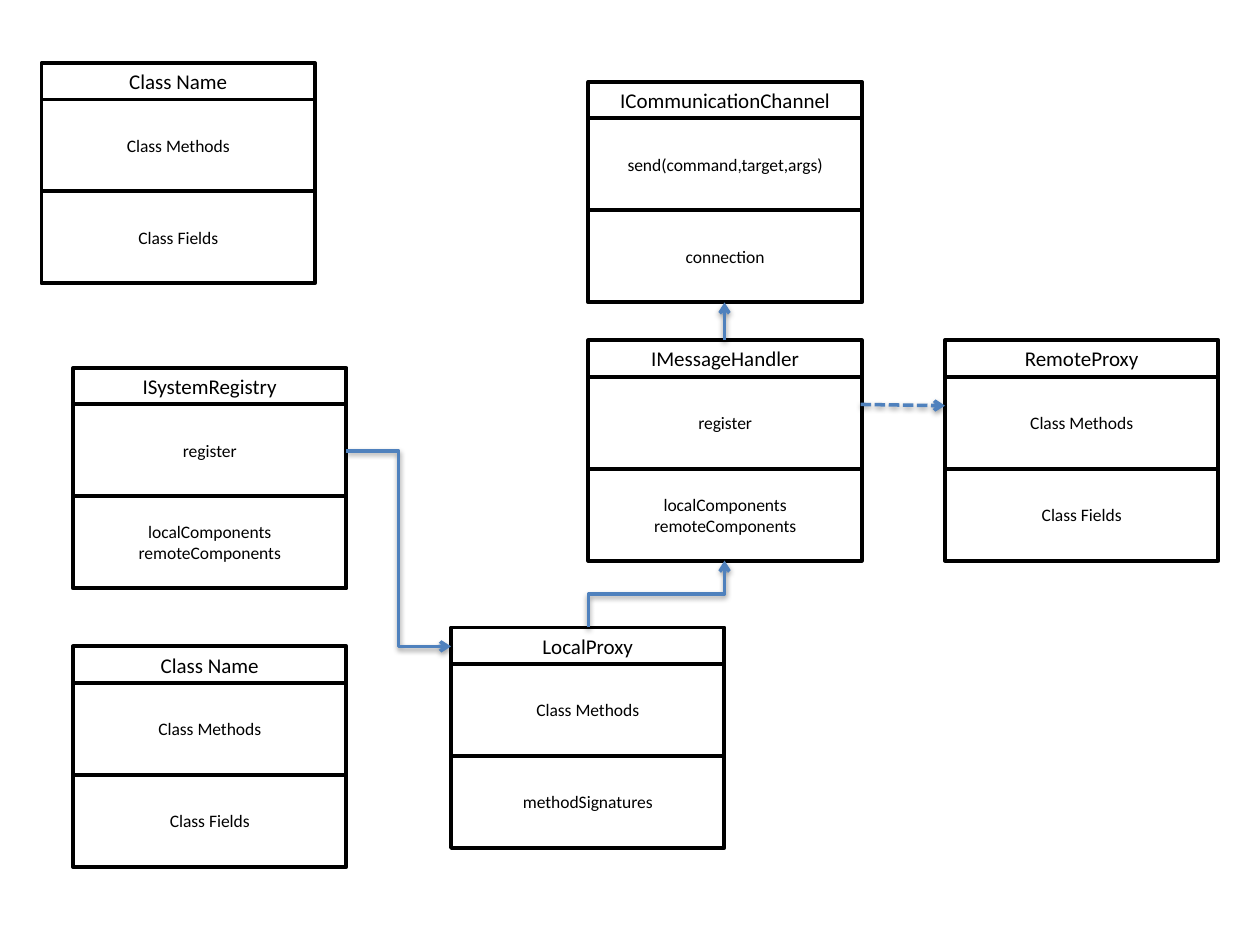
from pptx import Presentation
from pptx.dml.color import RGBColor
from pptx.enum.dml import MSO_LINE
from pptx.enum.shapes import MSO_CONNECTOR, MSO_SHAPE
from pptx.enum.text import MSO_ANCHOR, PP_ALIGN
from pptx.oxml.ns import qn
from pptx.util import Inches, Pt
from lxml.etree import SubElement


def rgb(value):
    return RGBColor.from_string(value)


class ClassDiagram:
    FONT, INK, ACCENT = "Calibri", "000000", "4F81BD"
    WIDTH, NAME_H, PART_H = 2.17, 0.29, 0.73

    def __init__(self, slide):
        self.s = slide

    def cell(self, shapes, x, y, h, text, size):
        sp = shapes.add_shape(MSO_SHAPE.RECTANGLE, Inches(x), Inches(y),
                              Inches(self.WIDTH), Inches(h))
        sp.shadow.inherit = False
        sp.fill.background()
        sp.line.color.rgb = rgb(self.INK)
        sp.line.width = Pt(2.25)
        tf = sp.text_frame
        tf.word_wrap = True
        tf.vertical_anchor = MSO_ANCHOR.MIDDLE
        tf.text = text
        for p in tf.paragraphs:
            p.alignment = PP_ALIGN.CENTER
            p.font.name = self.FONT
            p.font.size = Pt(size)
            p.font.color.rgb = rgb(self.INK)

    def class_box(self, x, y, name, methods, fields):
        shapes = self.s.shapes.add_group_shape().shapes
        self.cell(shapes, x, y, self.NAME_H, name, 12)
        y += self.NAME_H
        for text in (methods, fields):
            self.cell(shapes, x, y, self.PART_H, text, 10)
            y += self.PART_H

    def arrow(self, start, end, kind=MSO_CONNECTOR.STRAIGHT, dash=None):
        c = self.s.shapes.add_connector(kind, *map(Inches, start + end))
        c.line.color.rgb = rgb(self.ACCENT)
        c.line.width = Pt(2)
        if dash:
            c.line.dash_style = dash
        # The theme's soft shadow is kept on the arrows
        SubElement(c.line._get_or_add_ln(), qn("a:tailEnd"), type="arrow")
        return c

    def elbow(self, start, end):
        return self.arrow(start, end, MSO_CONNECTOR.ELBOW)

    def vertical_elbow(self, start, end):
        """Elbow that leaves and arrives vertically: a quarter-turned elbow."""
        cx, cy = (start[0] + end[0]) / 2, (start[1] + end[1]) / 2

        def unturn(point):
            return cx + point[1] - cy, cy - point[0] + cx

        c = self.elbow(unturn(start), unturn(end))
        c._element.spPr.find(qn("a:xfrm")).set("rot", "5400000")


def main():
    prs = Presentation()
    prs.slide_width, prs.slide_height = Inches(10), Inches(7.5)
    d = ClassDiagram(prs.slides.add_slide(prs.slide_layouts[6]))

    template = ("Class Name", "Class Methods", "Class Fields")
    components = "localComponents\nremoteComponents"

    # Classes
    d.class_box(0.33, 0.5, *template)
    d.class_box(4.67, 0.65, "ICommunicationChannel",
                "send(command,target,args)", "connection")
    d.class_box(0.58, 2.92, "ISystemRegistry", "register", components)
    d.class_box(7.5, 2.7, "RemoteProxy", *template[1:])
    d.class_box(3.58, 4.98, "LocalProxy", "Class Methods", "methodSignatures")
    d.class_box(4.67, 2.7, "IMessageHandler", "register", components)

    # Relations
    d.elbow((2.75, 3.58), (3.58, 5.13))
    d.vertical_elbow((4.67, 4.98), (5.75, 4.45))
    d.arrow((5.75, 2.7), (5.75, 2.4))
    d.arrow((6.83, 3.21), (7.5, 3.22), dash=MSO_LINE.SQUARE_DOT)

    # Spare class template
    d.class_box(0.58, 5.13, *template)

    prs.save("out.pptx")


if __name__ == "__main__":
    main()
